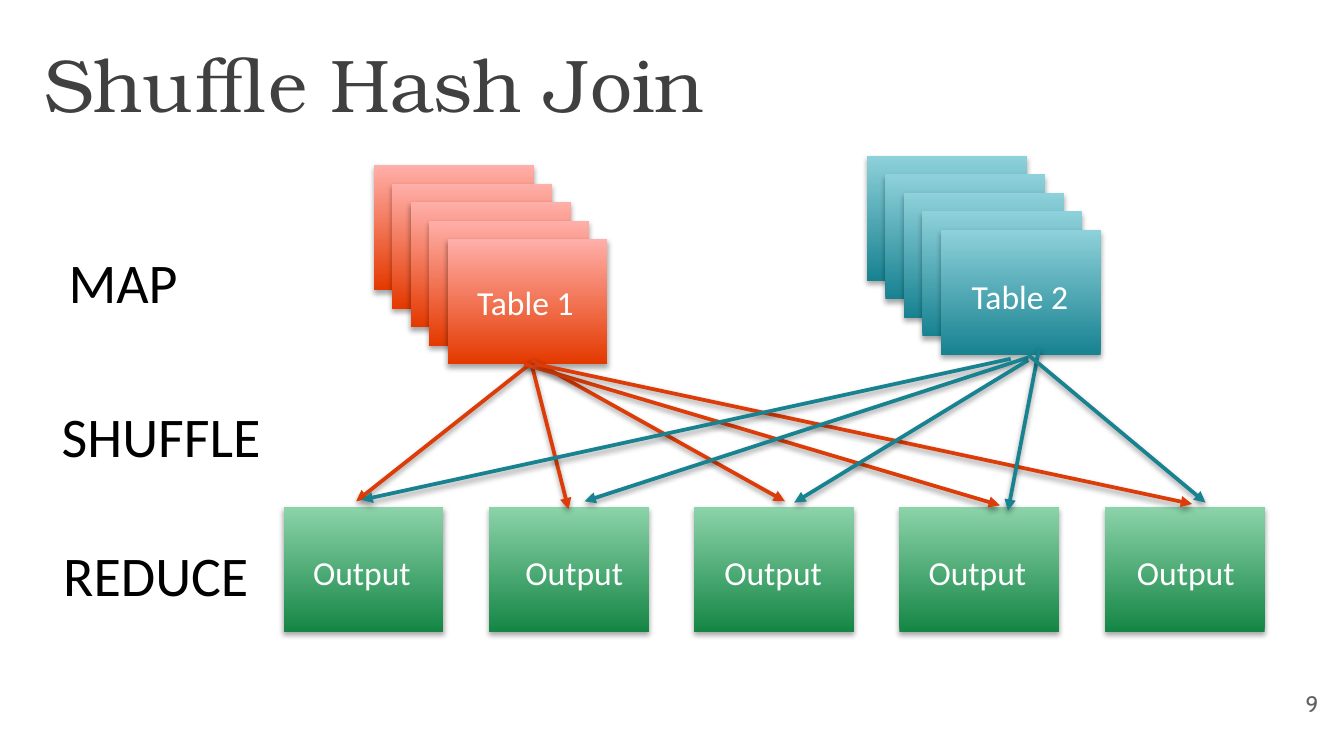
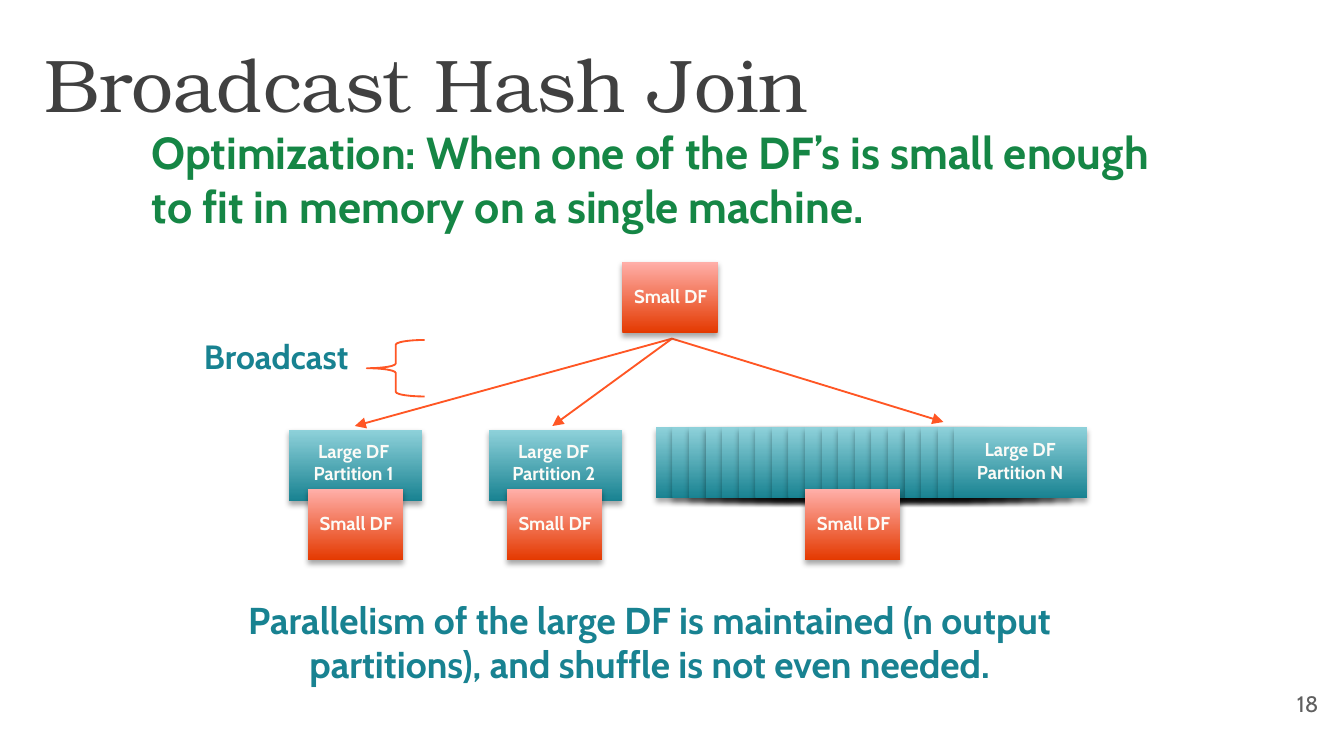
from lxml.etree import SubElement
from pptx import Presentation
from pptx.dml.color import RGBColor
from pptx.enum.shapes import MSO_CONNECTOR as Connector, MSO_SHAPE as Shape
from pptx.enum.text import MSO_ANCHOR as Anchor, MSO_AUTO_SIZE as AutoSize, PP_ALIGN as Align
from pptx.oxml.ns import qn
from pptx.util import Inches, Pt

RED = ("E43900", "FFAFA9")
TEAL = ("188291", "8ED1DA")
GREEN = ("158645", "8CD3AA")
RED_LINE, ORANGE = "DC3D08", "FF5624"

STYLES = {
    "title": ({"name": "TeX Gyre Bonum", "size": Pt(40)}, "404040"),
    "number": ({"name": "Cabin", "size": Pt(12)}, "606060"),
    "stage": ({"name": "Calibri", "size": Pt(30)}, "000000"),
    "label": ({"name": "Calibri", "size": Pt(18)}, "FFFFFF"),
    "lead": ({"name": "Cabin", "size": Pt(24), "bold": True}, GREEN[0]),
    "result": ({"name": "Cabin", "size": Pt(20), "bold": True}, TEAL[0]),
    "note": ({"name": "Cabin", "size": Pt(18), "bold": True}, TEAL[0]),
    "frame": ({"name": "Cabin", "size": Pt(10), "bold": True}, "FCFBF7"),
}

TABLE_SIZE = (1.19, 0.93)
LARGE_SIZE = (0.99, 0.53)
SMALL_SIZE = (0.71, 0.53)


def color(value):
    """Turn a hex string into a colour."""
    return RGBColor.from_string(value)


def inches(*values):
    """Turn numbers into lengths."""
    return [Inches(value) for value in values]


def add_text(page, at, lines, style, align=Align.LEFT, anchor=Anchor.TOP, inset=0.05, wrap=True):
    """Add a text box with one paragraph per line."""
    frame = page.shapes.add_textbox(*inches(*at)).text_frame
    settings = {f"margin_{side}": Inches(inset) for side in ("left", "top", "right", "bottom")}
    settings.update(
        word_wrap=wrap,
        vertical_anchor=anchor,
        auto_size=AutoSize.NONE if wrap else AutoSize.SHAPE_TO_FIT_TEXT,
    )
    for name, value in settings.items():
        setattr(frame, name, value)
    font_values, font_color = STYLES[style]
    for index, line in enumerate(lines):
        para = frame.add_paragraph() if index else frame.paragraphs[0]
        para.alignment = align
        span = para.add_run()
        span.text = line
        for name, value in font_values.items():
            setattr(span.font, name, value)
        span.font.color.rgb = color(font_color)


def add_shadow(effects, alpha, distance):
    """Put a soft downward shadow into an effect list."""
    shadow = SubElement(effects, qn("a:outerShdw"), blurRad=str(Pt(3)), dist=str(Pt(distance)),
                        dir="5400000", rotWithShape="0")
    tint = SubElement(shadow, qn("a:srgbClr"), val="000000")
    SubElement(tint, qn("a:alpha"), val=str(alpha * 1000))


def add_block(page, left, top, size, shades):
    """Add a rectangle that fades from dark at the bottom to light at the top."""
    block = page.shapes.add_shape(Shape.RECTANGLE, *inches(left, top, *size))
    block.fill.gradient()
    block.fill.gradient_angle = 90
    for stop, shade in zip(block.fill.gradient_stops, shades):
        stop.color.rgb = color(shade)
    block.line.fill.background()
    block.shadow.inherit = False
    add_shadow(block._element.spPr.find(qn("a:effectLst")), 35, 1.8)


def add_arrow(page, start, end, shade, width, shadow=False):
    """Add a straight line with an arrowhead at its end."""
    arrow = page.shapes.add_connector(Connector.STRAIGHT, *inches(*start, *end))
    arrow.line.color.rgb = color(shade)
    arrow.line.width = Pt(width)
    properties = arrow._element.spPr
    SubElement(properties.find(qn("a:ln")), qn("a:tailEnd"), type="triangle")
    effects = SubElement(properties, qn("a:effectLst"))
    if shadow:
        add_shadow(effects, 38, 1.6)


def add_stack(page, left, top, shades, label, label_at):
    """Add five overlapping blocks, with a label on the front one."""
    step = 0.55 / 4
    for index in range(5):
        add_block(page, left + step * index, top + step * index, TABLE_SIZE, shades)
    add_text(page, (*label_at, 0.92, 0.41), [label], "label", wrap=False)


def add_small_frame(page, left, top):
    """Add a labelled block for the small data frame."""
    add_block(page, left, top, SMALL_SIZE, RED)
    add_text(page, (left - 0.1, top + 0.1, 0.92, 0.44), ["Small DF"], "frame", Align.CENTER, inset=0.07)


def add_partition(page, left, top, name, label_at):
    """Add a labelled block for one partition of the large data frame."""
    add_block(page, left, top, LARGE_SIZE, TEAL)
    add_text(page, (*label_at, 0.92, 0.52), ["Large DF", f"Partition {name}"], "frame",
             Align.CENTER, inset=0.07)


def add_page(deck, title, number):
    """Add a blank page with its title and page number."""
    page = deck.slides.add_slide(deck.slide_layouts[6])
    add_text(page, (0.28, 0.23, 9.36, 0.94), [title], "title")
    add_text(page, (9.25, 5.08, 0.61, 0.31), [str(number)], "number", Align.RIGHT, Anchor.MIDDLE)
    return page


def build_shuffle(deck):
    """Build the page on the shuffle hash join."""
    page = add_page(deck, "Shuffle Hash Join", 9)
    add_stack(page, 2.78, 1.23, RED, "Table 1", (3.5, 2.05))
    add_stack(page, 6.45, 1.16, TEAL, "Table 2", (7.18, 2))
    first, last = 2.11, 8.22
    for index in range(5):
        add_block(page, first + (last - first) / 4 * index, 3.77, TABLE_SIZE, GREEN)
    flows = {
        RED_LINE: [((3.95, 2.69), (4.23, 3.79)), ((3.98, 2.68), (2.65, 3.73)),
                   ((3.96, 2.68), (5.84, 3.73)), ((3.9, 2.71), (7.44, 3.76)),
                   ((3.99, 2.71), (8.87, 3.75))],
        TEAL[0]: [((7.52, 2.67), (2.69, 3.72)), ((7.65, 2.66), (4.35, 3.73)),
                  ((7.65, 2.68), (5.91, 3.74)), ((7.73, 2.6), (7.5, 3.8)),
                  ((7.65, 2.64), (8.97, 3.74))],
    }
    for shade, arrows in flows.items():
        for start, end in arrows:
            add_arrow(page, start, end, shade, 2, shadow=True)
    stages = {"MAP": (0.46, 1.79, 1.02, 0.6), "SHUFFLE": (0.41, 2.94, 2.13, 1.1),
              "REDUCE": (0.42, 3.97, 1.99, 1.1)}
    for stage, at in stages.items():
        add_text(page, at, [stage], "stage", wrap=False)
    for left in (2.28, 3.86, 5.34, 6.86, 8.41):
        add_text(page, (left, 4.06, 0.86, 0.41), ["Output"], "label", wrap=False)


def build_broadcast(deck):
    """Build the page on the broadcast hash join."""
    page = add_page(deck, "Broadcast Hash Join", 18)
    add_text(page, (1.12, 4.37, 7.43, 0.84),
             ["Parallelism of the large DF is maintained (n output partitions), "
              "and shuffle is not even needed."], "result", Align.CENTER, inset=0.07)
    for end in ((2.64, 3.17), (4.11, 3.17), (7.02, 3.14)):
        add_arrow(page, (5, 2.52), end, ORANGE, 1)
    add_text(page, (1.04, 2.43, 2.03, 0.47), ["Broadcast"], "note", Align.CENTER, inset=0.07)
    brace = page.shapes.add_shape(Shape.LEFT_BRACE, *inches(2.73, 2.53, 0.43, 0.42))
    brace.fill.background()
    brace.line.color.rgb = color(ORANGE)
    brace.line.width = Pt(1)
    brace.shadow.inherit = False
    first, last, count = 4.88, 7.1, 19
    for index in range(count - 1):
        add_block(page, first + (last - first) / (count - 1) * index, 3.18, LARGE_SIZE, TEAL)
    add_partition(page, last, 3.18, "N", (7.13, 3.19))
    add_partition(page, 2.15, 3.2, "1", (2.17, 3.2))
    add_partition(page, 3.64, 3.2, "2", (3.66, 3.2))
    add_text(page, (1.08, 0.88, 7.84, 1.31),
             ["Optimization: When one of the DF’s is small enough to fit in memory "
              "on a single machine."], "lead")
    add_small_frame(page, 4.63, 1.95)
    for left in (2.29, 3.77, 5.99):
        add_small_frame(page, left, 3.64)


def main():
    """Build and save the deck."""
    deck = Presentation()
    deck.slide_width = Inches(10)
    deck.slide_height = Inches(10) * 9 // 16
    build_shuffle(deck)
    build_broadcast(deck)
    deck.save("out.pptx")


if __name__ == "__main__":
    main()
